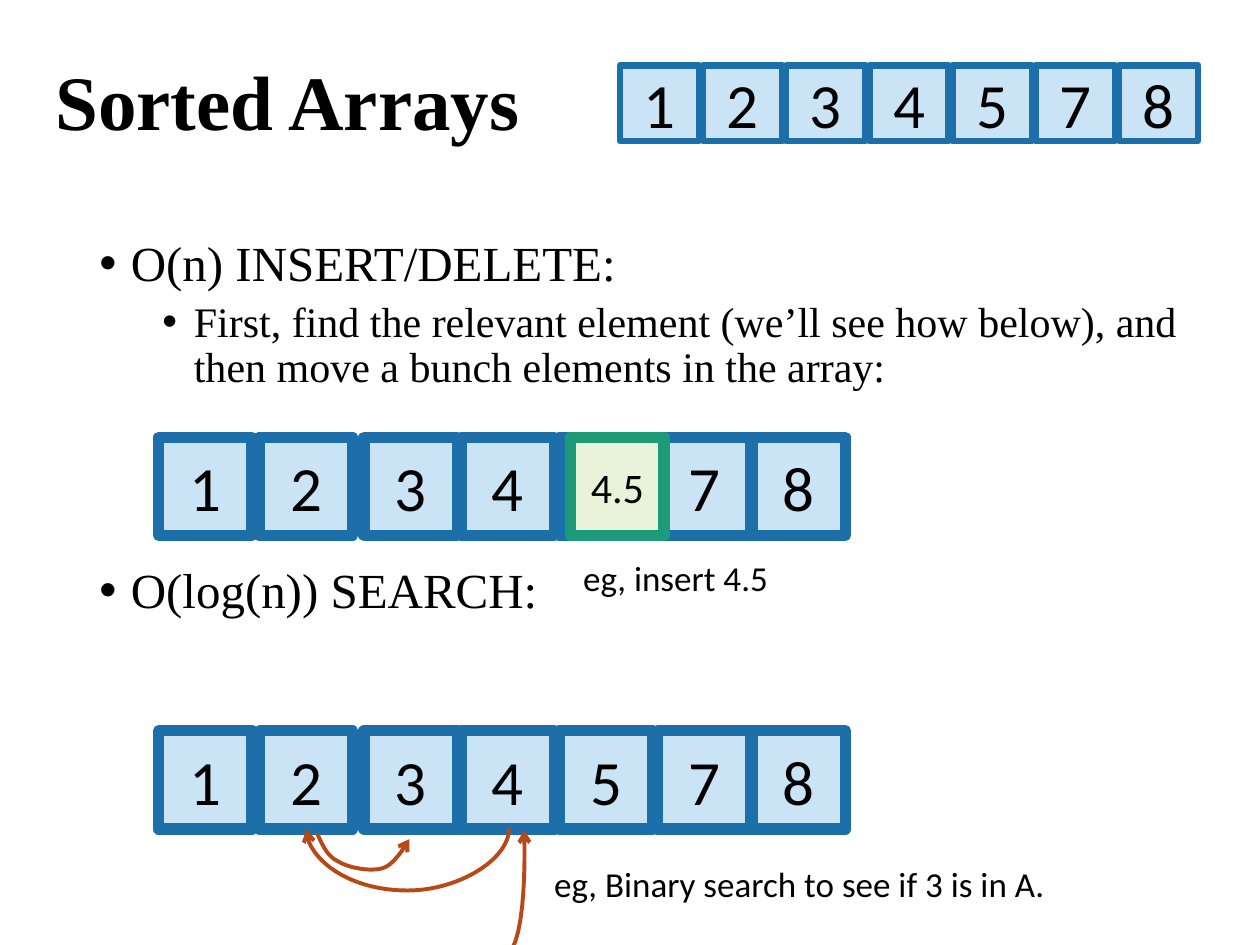
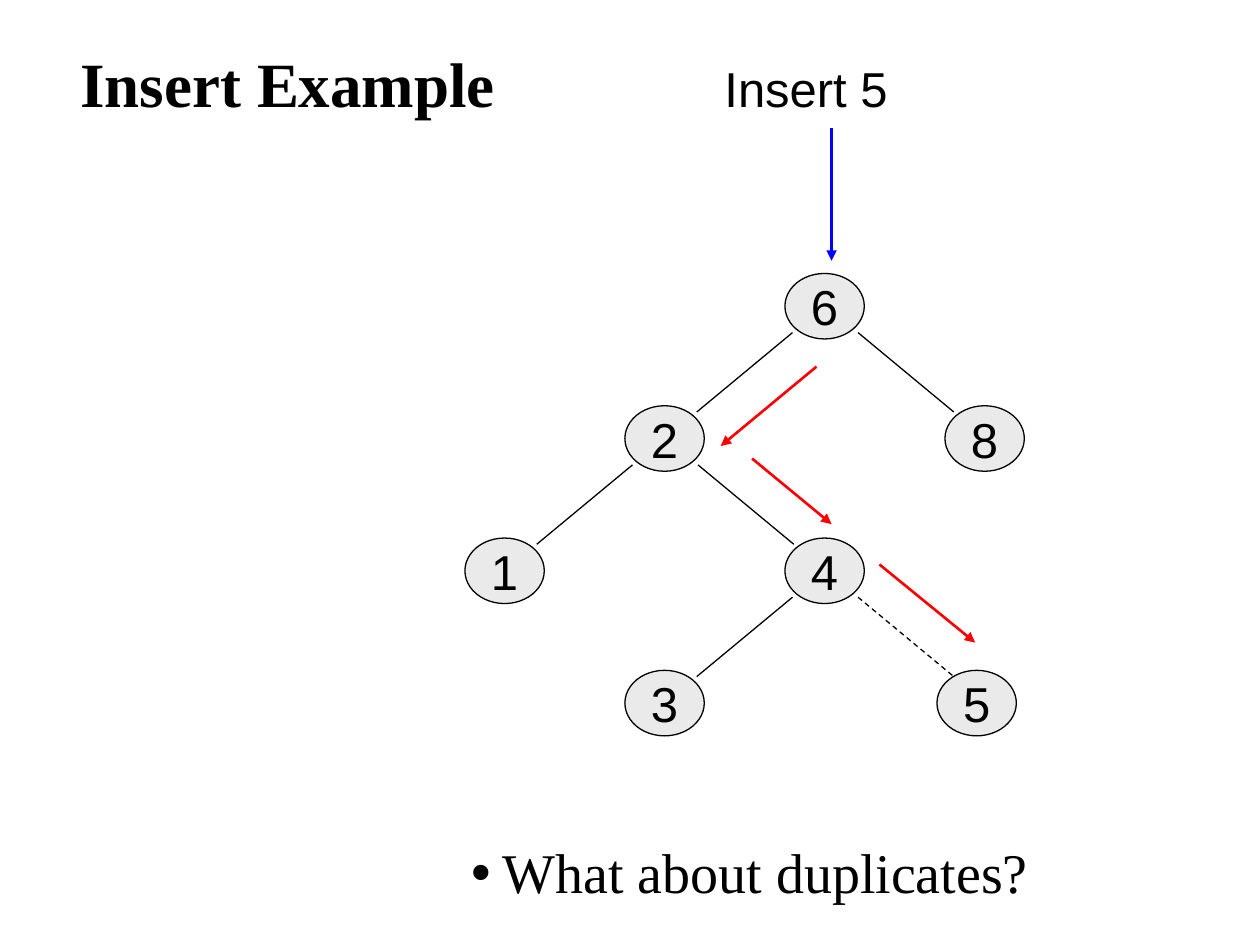
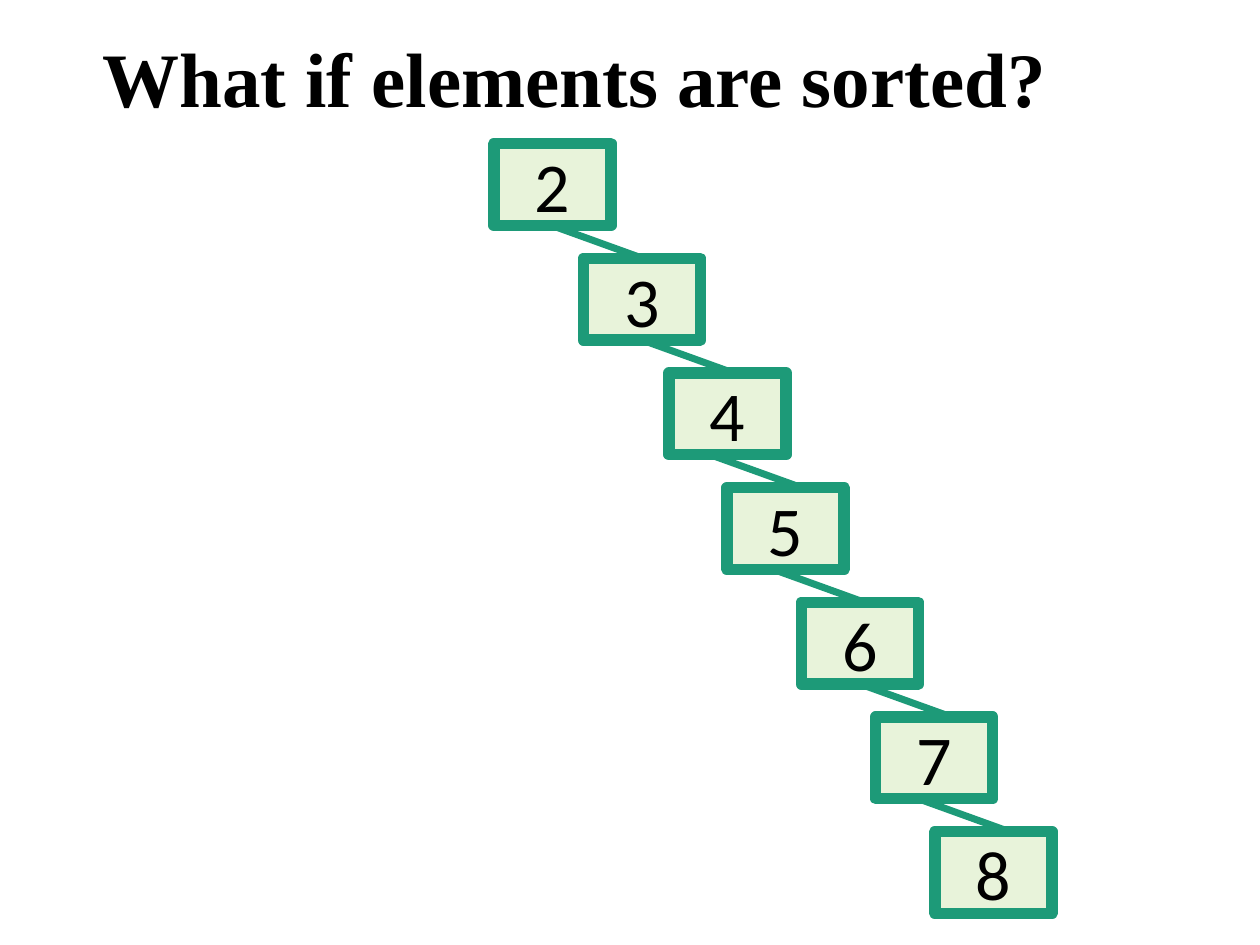
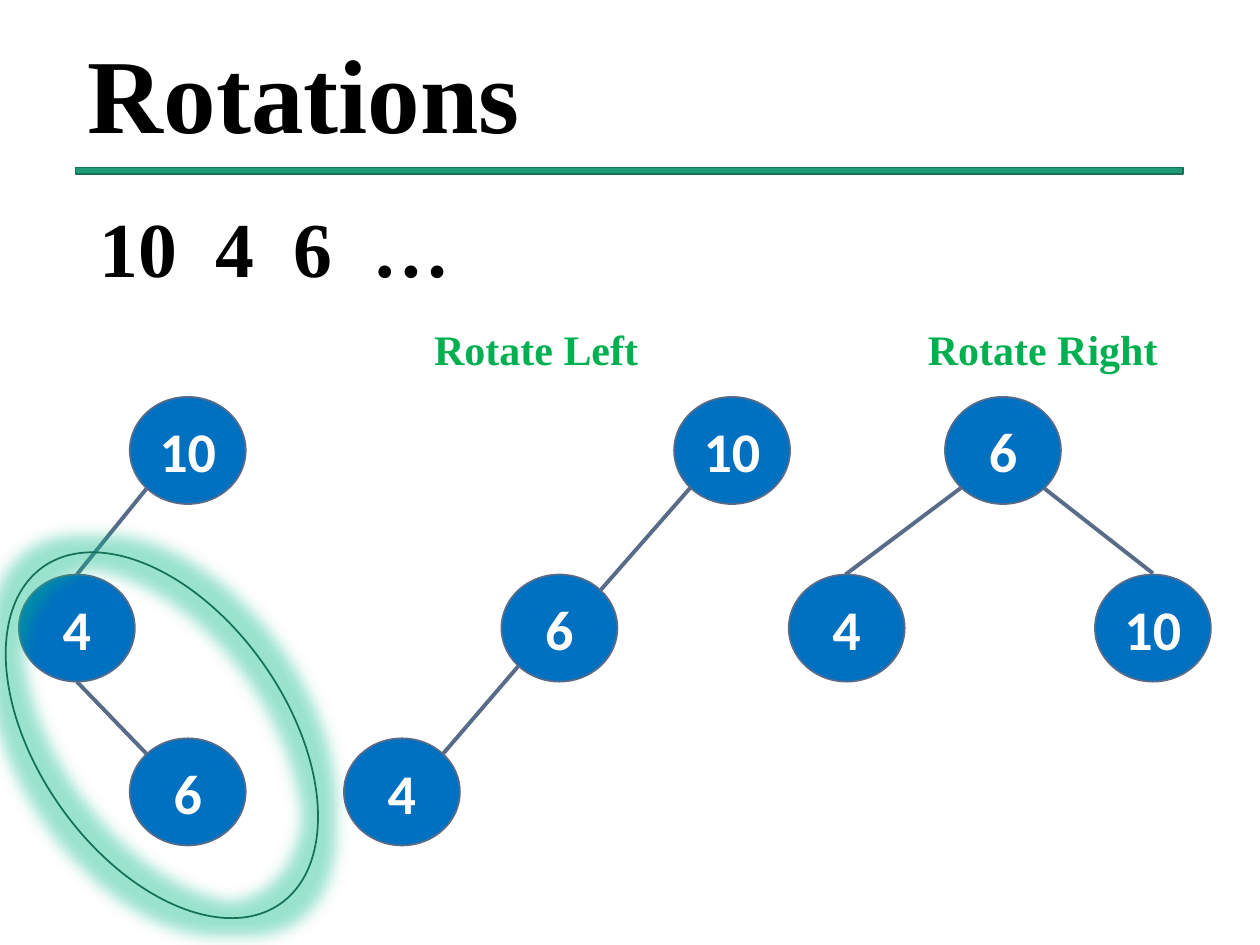
from lxml.etree import SubElement
from pptx import Presentation
from pptx.dml.color import RGBColor
from pptx.enum.dml import MSO_LINE
from pptx.enum.shapes import MSO_CONNECTOR as Connector, MSO_SHAPE as Preset
from pptx.enum.text import MSO_ANCHOR as Anchor, PP_ALIGN as Align
from pptx.oxml.ns import qn
from pptx.util import Inches, Pt

COLUMNS, ROWS = 10, 7.5
BLANK_LAYOUT = 6

BLACK = RGBColor(0x00, 0x00, 0x00)
WHITE = RGBColor(0xFF, 0xFF, 0xFF)
SKY = RGBColor(0xCA, 0xE4, 0xF6)
BLUE = RGBColor(0x1D, 0x6F, 0xA9)
LIME = RGBColor(0xE8, 0xF3, 0xDA)
GREEN = RGBColor(0x1D, 0x9A, 0x78)
DARK_GREEN = RGBColor(0x15, 0x72, 0x59)
LABEL_GREEN = RGBColor(0x00, 0xB0, 0x50)
GLOW_GREEN = RGBColor(0x00, 0xB7, 0x84)
RUST = RGBColor(0xB7, 0x49, 0x19)
GREY = RGBColor(0xEA, 0xEA, 0xEA)
PURE_BLUE = RGBColor(0x00, 0x00, 0xFF)
RED = RGBColor(0xFF, 0x00, 0x00)
NODE_BLUE = RGBColor(0x00, 0x70, 0xC0)
SLATE = RGBColor(0x58, 0x6C, 0x89)

SERIF, SANS, HUMANIST = "Times New Roman", "Arial", "Calibri"
TITLE = {"name": SERIF, "size": 44, "bold": True}
BODY = {"name": SERIF, "size": 28}
CAPTION = {"name": HUMANIST, "size": 20}
ROTATION_LABEL = {"name": SERIF, "size": 24, "bold": True, "color": LABEL_GREEN}

ARRAY_CELL = {"fill": SKY, "outline": BLUE, "font": {"name": HUMANIST, "size": 36}}
GREEN_CELL = {"fill": LIME, "outline": GREEN, "weight": 6.5}
TREE_NODE = {"preset": Preset.OVAL, "fill": GREY, "outline": BLACK, "weight": 0.75,
             "font": {"name": SANS, "size": 28}, "frame": {"word_wrap": False}}
NO_INSETS = {f"margin_{side}": 0 for side in ("left", "top", "right", "bottom")}
ROTATION_NODE = {"preset": Preset.OVAL, "fill": NODE_BLUE, "outline": SLATE, "weight": 1,
                 "font": {"name": HUMANIST, "size": 32, "bold": True, "color": WHITE},
                 "frame": NO_INSETS}


def apply(target, values):
    for name, value in values.items():
        setattr(target, name, value)


def bezier(start, control_1, control_2, end, steps=12):
    """Points along a cubic curve, without its start."""
    for step in range(1, steps + 1):
        t = step / steps
        weights = (1 - t) ** 3, 3 * t * (1 - t) ** 2, 3 * t * t * (1 - t), t ** 3
        yield tuple(sum(weight * point[axis] for weight, point in
                        zip(weights, (start, control_1, control_2, end)))
                    for axis in (0, 1))


class Deck:
    """Holds the presentation, its grid and the slide being drawn."""

    def __init__(self):
        self.presentation = Presentation()
        apply(self.presentation, {"slide_width": Inches(10), "slide_height": Inches(7.5)})
        self.slide = None

    def new_slide(self):
        layout = self.presentation.slide_layouts[BLANK_LAYOUT]
        self.slide = self.presentation.slides.add_slide(layout)

    def place(self, *lengths):
        """Turn alternating columns and rows into slide units."""
        units = (self.presentation.slide_width / COLUMNS,
                 self.presentation.slide_height / ROWS)
        return [round(length * units[index % 2]) for index, length in enumerate(lengths)]

    def fill_paragraph(self, paragraph, text, font, **layout):
        apply(paragraph, layout)
        run = paragraph.add_run()
        run.text = text
        values = {"color": BLACK, **font}
        run.font.color.rgb = values.pop("color")
        apply(run.font, {**values, "size": Pt(values["size"])})

    def text(self, box, text, font, frame=None, **layout):
        text_frame = self.slide.shapes.add_textbox(*self.place(*box)).text_frame
        apply(text_frame, {"word_wrap": True, **(frame or {})})
        self.fill_paragraph(text_frame.paragraphs[0], text, font, **layout)
        return text_frame

    def title(self, box, text, size=44, align=Align.LEFT):
        self.text(box, text, {**TITLE, "size": size},
                  {"vertical_anchor": Anchor.MIDDLE}, alignment=align, line_spacing=0.9)

    def bullets(self, box, items):
        """Each item is text, indent, size and space before."""
        text_frame = self.slide.shapes.add_textbox(*self.place(*box)).text_frame
        text_frame.word_wrap = True
        for index, (text, indent, size, before) in enumerate(items):
            paragraph = text_frame.add_paragraph() if index else text_frame.paragraphs[0]
            properties = paragraph._p.get_or_add_pPr()
            properties.set("marL", str(Inches(indent)))
            properties.set("indent", str(Inches(-0.25)))
            SubElement(properties, qn("a:buFont"), typeface="Arial")
            SubElement(properties, qn("a:buChar"), char="•")
            self.fill_paragraph(paragraph, text, {**BODY, "size": size},
                                line_spacing=0.9, space_before=Pt(before))

    def tabs(self, text_frame, stops):
        properties = text_frame.paragraphs[0]._p.get_or_add_pPr()
        tab_list = SubElement(properties, qn("a:tabLst"))
        for stop in stops:
            SubElement(tab_list, qn("a:tab"), pos=str(Inches(stop)), algn="l")

    def shape(self, box, text="", preset=Preset.RECTANGLE, fill=None, outline=BLACK,
              weight=1, font=None, frame=None):
        shape = self.slide.shapes.add_shape(preset, *self.place(*box))
        shape.shadow.inherit = False
        if fill is None:
            shape.fill.background()
        else:
            shape.fill.solid()
            shape.fill.fore_color.rgb = fill
        self.stroke(shape, outline, weight)
        if text:
            apply(shape.text_frame, {"word_wrap": True, "vertical_anchor": Anchor.MIDDLE,
                                     **(frame or {})})
            self.fill_paragraph(shape.text_frame.paragraphs[0], text, font,
                                alignment=Align.CENTER)
        return shape

    def stroke(self, shape, color, weight, dash=None, head=None):
        shape.line.color.rgb = color
        apply(shape.line, {"width": Pt(weight), "dash_style": dash})
        if head:
            SubElement(shape._element.spPr.find(qn("a:ln")), qn("a:tailEnd"), type=head)

    def line(self, start, end, color, weight, dash=None, head=None,
             kind=Connector.STRAIGHT):
        connector = self.slide.shapes.add_connector(kind, *self.place(*start, *end))
        self.stroke(connector, color, weight, dash, head)
        SubElement(connector._element.spPr, qn("a:effectLst"))
        return connector

    def u_arrow(self, start, end, depth, color, weight):
        """A curved connector turned a quarter, so that it dips below both ends."""
        center = (start[0] + end[0]) / 2, (start[1] + end[1]) / 2
        thickness, span = 0.01, start[0] - end[0]
        connector = self.line((center[0] - thickness / 2, center[1] - span / 2),
                              (center[0] + thickness / 2, center[1] + span / 2),
                              color, weight, head="arrow", kind=Connector.CURVE)
        properties = connector._element.spPr
        properties.find(qn("a:xfrm")).set("rot", "5400000")
        geometry = properties.find(qn("a:prstGeom"))
        adjustments = geometry.find(qn("a:avLst"))
        if adjustments is None:
            adjustments = SubElement(geometry, qn("a:avLst"))
        SubElement(adjustments, qn("a:gd"), name="adj1",
                   fmla=f"val {round(depth / thickness * 100000)}")

    def curve_arrow(self, points, color, weight):
        """A start followed by two controls and an end for each curve."""
        outline = []
        for index in range(0, len(points) - 1, 3):
            outline += bezier(*points[index:index + 4])
        builder = self.slide.shapes.build_freeform(*self.place(*points[0]))
        builder.add_line_segments([self.place(*point) for point in outline], close=False)
        shape = builder.convert_to_shape()
        shape.shadow.inherit = False
        shape.fill.background()
        self.stroke(shape, color, weight, head="arrow")

    def glow(self, shape, color, radius, opacity):
        effects = shape._element.spPr.find(qn("a:effectLst"))
        glow = SubElement(effects, qn("a:glow"), rad=str(Pt(radius)))
        tint = SubElement(glow, qn("a:srgbClr"), val=str(color))
        SubElement(tint, qn("a:alpha"), val=str(opacity * 1000))


def sorted_arrays(deck):
    deck.new_slide()
    deck.title((0.34, 0.11, 8.62, 1.45), "Sorted Arrays")
    deck.bullets((0.69, 1.85, 9.31, 5), [
        ("O(n) INSERT/DELETE:", 0.25, 28, 0),
        ("First, find the relevant element (we’ll see how below), and then move a bunch "
         "elements in the array:", 0.75, 24, 5),
        ("O(log(n)) SEARCH:", 0.25, 28, 99.5)])

    small_lefts = [4.92 + 0.66 * index for index in range(7)]
    large_lefts = [1.26, 2.06, 2.89, 3.66, 4.44, 5.22, 5.97]
    for lefts, top, width, height, weight in ((small_lefts, 0.52, 0.63, 0.6, 3.75),
                                              (large_lefts, 3.47, 0.74, 0.78, 6.5),
                                              (large_lefts, 5.8, 0.74, 0.78, 6.5)):
        for left, value in zip(lefts, "1234578"):
            deck.shape((left, top, width, height), value, weight=weight, **ARRAY_CELL)
    deck.shape((4.53, 3.47, 0.74, 0.78), "4.5", **GREEN_CELL,
               font={"name": HUMANIST, "size": 24})

    deck.text((4.3, 6.8, 4.63, 0.44), "eg, Binary search to see if 3 is in A.", CAPTION)
    deck.text((4.53, 4.37, 4.63, 0.44), "eg, insert 4.5", CAPTION)
    deck.u_arrow((4.04, 6.57), (2.43, 6.59), 0.5, RUST, 2.25)
    deck.curve_arrow([(3.39, 7.9), (3.66, 7.83), (3.93, 7.76), (4.06, 7.54),
                      (4.19, 7.32), (4.16, 6.59), (4.16, 6.59)], RUST, 2.25)
    deck.curve_arrow([(2.52, 6.62), (2.56, 6.71), (2.6, 6.8), (2.69, 6.84),
                      (2.77, 6.89), (2.95, 6.92), (3.04, 6.89),
                      (3.14, 6.86), (3.25, 6.66), (3.25, 6.66)], RUST, 2.25)


def insert_example(deck):
    deck.new_slide()
    deck.bullets((3.64, 6.66, 5.84, 0.84), [("What about duplicates?", 0.25, 32, 0)])
    steps = {"6": (2, 0), "2": (1, 1), "8": (3, 1), "1": (0, 2), "4": (2, 2),
             "3": (1, 3), "5": (2.95, 3)}
    corners = {value: (3.69 + 1.27 * column, 2.17 + 1.05 * level)
               for value, (column, level) in steps.items()}
    for value, corner in corners.items():
        deck.shape((*corner, 0.63, 0.52), value, **TREE_NODE)

    for parent, side, dash in (("2", -1, None), ("4", -1, None), ("6", -1, None),
                               ("2", 1, None), ("6", 1, None), ("4", 1, MSO_LINE.DASH)):
        left, top = corners[parent]
        start = (left + 0.32 + 0.26 * side, top + 0.47)
        deck.line(start, (start[0] + 0.76 * side, start[1] + 0.63), BLACK, 0.75, dash)

    for start, end, color in (((6.6, 1.02), (6.6, 2.07), PURE_BLUE),
                              ((6.48, 2.91), (5.72, 3.54), RED),
                              ((5.97, 3.64), (6.6, 4.16), RED),
                              ((6.98, 4.48), (7.74, 5.1), RED)):
        deck.line(start, end, color, 1.5, head="triangle")
    insets = {"margin_left": Inches(0.07), "margin_right": Inches(0.07),
              "margin_top": Inches(0.04), "margin_bottom": Inches(0.04)}
    deck.text((5.68, 0.42, 1.46, 0.69), "Insert 5", {"name": SANS, "size": 28},
              {"word_wrap": False, **insets})
    deck.text((0.54, 0.3, 3.96, 0.71), "Insert Example", {**TITLE, "size": 36})


def sorted_elements(deck):
    deck.new_slide()
    deck.title((0.5, 0.17, 8.12, 0.97), "What if elements are sorted?", align=Align.CENTER)
    width, height, top, pitch = 0.93, 0.65, 1.14, 0.91
    lefts = [3.92, 4.63, 5.31, 5.77, 6.36, 6.95, 7.42]
    for index, (left, value) in enumerate(zip(lefts, "2345678")):
        deck.shape((left, top + pitch * index, width, height), value, **GREEN_CELL,
                   font={"name": HUMANIST, "size": 40})
    for index, left in enumerate([4.38, 5.1, 5.64, 6.14, 6.83, 7.29]):
        deck.line((left, top + pitch * index + height),
                  (left + 0.72, top + pitch * (index + 1)), GREEN, 4)


def rotations(deck):
    deck.new_slide()
    deck.title((0.6, 0.26, 8.83, 1.06), "Rotations", size=60)
    sequence = deck.text((0.69, 1.68, 3.51, 0.71), "10\t4\t6\t…",
                         {**TITLE, "size": 44.4}, line_spacing=0.8)
    deck.tabs(sequence, [0.92, 1.54, 2.17])
    deck.shape((0.6, 1.33, 8.79, 0.05), fill=GREEN, outline=DARK_GREEN)
    for left, text in ((2.85, "Rotate Left"), (6.87, "Rotate Right")):
        deck.text((left, 2.4, 2.81, 0.78), text, ROTATION_LABEL,
                  {"vertical_anchor": Anchor.MIDDLE},
                  alignment=Align.CENTER, line_spacing=0.9)

    for start, end in (((0.61, 5.41), (1.17, 5.99)), ((1.17, 3.87), (0.61, 4.56)),
                       ((4.12, 5.28), (3.51, 5.99)), ((5.48, 3.87), (4.77, 4.68)),
                       ((8.28, 3.87), (9.15, 4.55)), ((6.71, 4.56), (7.63, 3.87))):
        deck.line(start, end, SLATE, 2.25)
    levels = {3.15: [(1.03, "10"), (5.35, "10"), (7.5, "6")],
              4.56: [(0.15, "4"), (3.98, "6"), (6.26, "4"), (8.69, "10")],
              5.86: [(1.03, "6"), (2.73, "4")]}
    for top, nodes in levels.items():
        for left, value in nodes:
            deck.shape((left, top, 0.92, 0.85), value, **ROTATION_NODE)

    highlight = deck.shape((0.3, 4.2, 1.97, 3.27), preset=Preset.OVAL, outline=DARK_GREEN)
    highlight.rotation = 324.8
    deck.glow(highlight, GLOW_GREEN, radius=18, opacity=40)


def main():
    deck = Deck()
    for build in (sorted_arrays, insert_example, sorted_elements, rotations):
        build(deck)
    deck.presentation.save("out.pptx")


if __name__ == "__main__":
    main()
